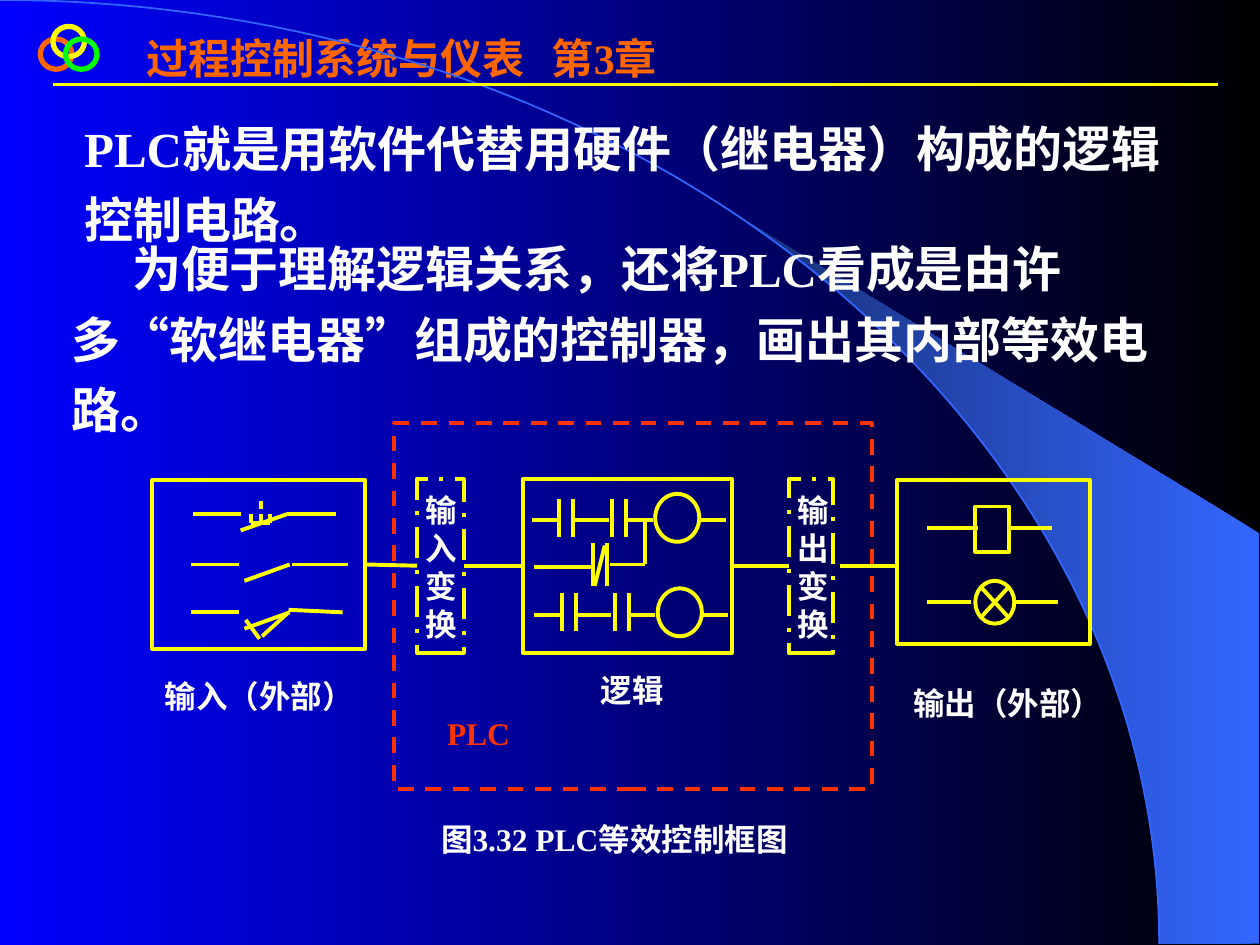
from dataclasses import dataclass
from math import asin, cos, pi, sin
from typing import Optional

from lxml.etree import SubElement
from pptx import Presentation
from pptx.dml.color import RGBColor
from pptx.enum.dml import MSO_LINE
from pptx.enum.shapes import MSO_CONNECTOR, MSO_SHAPE
from pptx.enum.text import MSO_ANCHOR, MSO_AUTO_SIZE, PP_ALIGN
from pptx.oxml.ns import qn
from pptx.util import Inches, Pt


@dataclass(frozen=True)
class Theme:
    """Colours, type sizes and line widths of the slide."""
    font: str = "Times New Roman"
    white: str = "FFFFFF"
    black: str = "000000"
    blue: str = "0000FF"
    sky: str = "3366FF"
    navy: str = "172F75"
    yellow: str = "FFFF00"
    green: str = "00FF00"
    orange: str = "FF6600"
    red: str = "FF3300"
    head: int = 24
    body: int = 28
    label: int = 18
    thin: float = 1
    rule: float = 1.5
    wire: float = 2.25
    ring: float = 3


THEME = Theme()


@dataclass(frozen=True)
class Frame:
    """An unfilled shape with its place and outline."""
    left: float
    top: float
    width: float
    height: float
    kind: MSO_SHAPE = MSO_SHAPE.RECTANGLE
    color: str = THEME.yellow
    weight: float = THEME.wire
    dash: Optional[MSO_LINE] = None


@dataclass(frozen=True)
class Wire:
    """A straight line between two points."""
    x1: float
    y1: float
    x2: float
    y2: float
    color: str = THEME.yellow
    weight: float = THEME.wire


@dataclass(frozen=True)
class Note:
    """A text box with its place and type."""
    text: str
    left: float
    top: float
    width: float
    height: float
    size: int = THEME.label
    color: str = THEME.white
    align: PP_ALIGN = PP_ALIGN.LEFT
    anchor: MSO_ANCHOR = MSO_ANCHOR.TOP
    lead: float = 1.0
    indent: float = 0


RINGS = [
    Frame(x, y, 0.25, 0.24, MSO_SHAPE.OVAL, color, THEME.ring)
    for x, y, color in [(0.32, 0.31, THEME.orange), (0.42, 0.21, THEME.yellow),
                        (0.52, 0.31, THEME.green)]
]
BLOCKS = [
    Frame(1.21, 3.81, 1.69, 1.34),
    Frame(3.31, 3.8, 0.37, 1.38, dash=MSO_LINE.LONG_DASH_DOT),
    Frame(4.15, 3.8, 1.66, 1.38),
    Frame(6.26, 3.8, 0.35, 1.38, dash=MSO_LINE.LONG_DASH_DOT),
    Frame(7.12, 3.81, 1.53, 1.3),
]
PARTS = [
    Frame(7.74, 4.02, 0.27, 0.36),
    Frame(7.74, 4.61, 0.31, 0.34, MSO_SHAPE.FLOWCHART_SUMMING_JUNCTION),
    Frame(3.13, 3.36, 3.79, 2.9, color=THEME.red, dash=MSO_LINE.DASH),
]
BUTTON = [
    Wire(1.53, 4.08, 1.91, 4.08), Wire(2.28, 4.08, 2.67, 4.08),
    Wire(2.28, 4.08, 1.91, 4.21), Wire(2.07, 3.98, 2.07, 4.04),
    Wire(1.99, 4.15, 2.14, 4.15),
    *[Wire(x, 4.08, x, 4.15) for x in (1.99, 2.07, 2.14)],
]
SWITCH = [
    Wire(1.52, 4.48, 1.9, 4.48), Wire(2.32, 4.48, 2.76, 4.48),
    Wire(2.3, 4.48, 1.94, 4.61),
]
LIMIT = [
    Wire(1.52, 4.86, 1.9, 4.86), Wire(2.29, 4.84, 2.72, 4.86),
    Wire(2.3, 4.86, 1.94, 4.99), Wire(2.29, 4.86, 2.08, 5.05),
    Wire(1.95, 4.92, 2.06, 5.07),
]
BRANCH = [
    Wire(4.24, 4.5, 4.72, 4.5), Wire(4.71, 4.31, 4.71, 4.65),
    Wire(4.72, 4.65, 4.8, 4.33), Wire(4.82, 4.31, 4.82, 4.65),
    Wire(4.84, 4.48, 5.12, 4.48), Wire(5.12, 4.12, 5.12, 4.48),
]
LOADS = [
    Wire(7.36, 4.19, 7.76, 4.19), Wire(8, 4.19, 8.35, 4.19),
    Wire(7.36, 4.78, 7.71, 4.78), Wire(8.05, 4.78, 8.4, 4.78),
    Wire(6.67, 4.49, 7.12, 4.49),
]
NOTES = [
    Note("PLC就是用软件代替用硬件（继电器）构成的逻辑控制电路。",
         0.57, 0.8, 9.01, 1.22, THEME.body, lead=1.2),
    Note("为便于理解逻辑关系，还将PLC看成是由许多“软继电器”组成的控制器，画出其内部等效电路。",
         0.47, 1.75, 9.01, 1.78, THEME.body, anchor=MSO_ANCHOR.MIDDLE,
         lead=1.2, indent=0.48),
    Note("图3.32 PLC等效控制框图", 3.13, 6.46, 3.49, 0.42, align=PP_ALIGN.CENTER),
    Note("输入（外部）", 1.21, 5.32, 1.82, 0.49),
    Note("输入变换", 3.28, 3.85, 0.39, 1.3),
    Note("输出变换", 6.23, 3.85, 0.39, 1.3),
    Note("逻辑", 4.67, 5.28, 0.92, 0.49),
    Note("输出（外部）", 7.15, 5.38, 1.89, 0.49),
    Note("PLC", 3.45, 5.62, 0.96, 0.49, color=THEME.red),
]


def shade(fill, first: str, last: str) -> None:
    """Fill with a gradient that runs from right to left."""
    fill.gradient()
    fill.gradient_angle = 180
    for stop, color in zip(fill.gradient_stops, (first, last)):
        stop.color.rgb = RGBColor.from_string(color)


def style(line, item) -> None:
    """Set the colour and width of a line."""
    line.color.rgb = RGBColor.from_string(item.color)
    line.width = Pt(item.weight)


def draw_frame(slide, item: Frame):
    """Draw an outlined shape."""
    box = map(Inches, (item.left, item.top, item.width, item.height))
    shape = slide.shapes.add_shape(item.kind, *box)
    shape.shadow.inherit = False
    shape.fill.background()
    style(shape.line, item)
    if item.dash:
        shape.line.dash_style = item.dash
    return shape


def draw_wire(slide, item: Wire):
    """Draw a straight line without a shadow."""
    ends = map(Inches, (item.x1, item.y1, item.x2, item.y2))
    link = slide.shapes.add_connector(MSO_CONNECTOR.STRAIGHT, *ends)
    style(link.line, item)
    SubElement(link._element.spPr, qn("a:effectLst"))
    return link


def draw_rung(slide, x: float, y: float) -> None:
    """Draw two open contacts in series with a coil."""
    for start, end in [(0, 0.21), (0.34, 0.61), (0.75, 0.96), (1.33, 1.54)]:
        draw_wire(slide, Wire(x + start, y, x + end, y))
    for bar in (0.22, 0.33, 0.64, 0.75):
        draw_wire(slide, Wire(x + bar, y - 0.17, x + bar, y + 0.13))
    draw_frame(slide, Frame(x + 0.98, y - 0.21, 0.35, 0.38,
                            MSO_SHAPE.FLOWCHART_CONNECTOR))


def draw_note(slide, item: Note, shape=None) -> None:
    """Write text into the given shape or a new text box."""
    shape = shape or slide.shapes.add_textbox(0, 0, 0, 0)
    shape.left, shape.top = Inches(item.left), Inches(item.top)
    shape.width, shape.height = Inches(item.width), Inches(item.height)
    frame = shape.text_frame
    frame.text = item.text
    frame.word_wrap = True
    frame.auto_size = MSO_AUTO_SIZE.NONE
    frame.vertical_anchor = item.anchor
    para = frame.paragraphs[0]
    para.alignment = item.align
    para.line_spacing = item.lead
    if item.indent:
        para._p.get_or_add_pPr().set("indent", str(Inches(item.indent)))
    if "\t" in item.text:
        tabs = SubElement(para._p.get_or_add_pPr(), qn("a:tabLst"))
        SubElement(tabs, qn("a:tab"), pos=str(Inches(3.22)), algn="l")
    font = para.runs[0].font
    font.name, font.size, font.bold = THEME.font, Pt(item.size), True
    font.color.rgb = RGBColor.from_string(item.color)


def draw_sweep(slide) -> None:
    """Draw the lit wedge and the arc along its edge."""
    wide, high, steps = 9.2, 7.49, 24
    first = asin(0.64)
    turns = [first + (pi / 2 - first) * i / steps for i in range(steps + 1)]
    curve = [(Inches(wide * sin(t)), Inches(high * (1 - cos(t)))) for t in turns]
    corner = [(Inches(9.99), Inches(y)) for y in (high, 4.23)]
    path = slide.shapes.build_freeform(*curve[0])
    path.add_line_segments(curve[1:] + corner, close=True)
    wedge = path.convert_to_shape()
    wedge.shadow.inherit = False
    wedge.line.fill.background()
    shade(wedge.fill, THEME.sky, THEME.navy)
    draw_frame(slide, Frame(-wide, 0, 2 * wide, 2 * high, MSO_SHAPE.ARC,
                            THEME.sky, THEME.thin))


def main() -> None:
    """Build and save the slide."""
    deck = Presentation()
    deck.slide_width, deck.slide_height = Inches(10), Inches(7.5)
    slide = deck.slides.add_slide(deck.slide_layouts[5])
    shade(slide.background.fill, THEME.black, THEME.blue)
    draw_sweep(slide)
    draw_wire(slide, Wire(0.42, 0.67, 9.67, 0.67, weight=THEME.rule))
    draw_note(slide, Note("过程控制系统与仪表\t第3章", 1.06, 0.21, 4.49, 0.9,
                          THEME.head, THEME.orange), slide.shapes.title)
    for ring in RINGS:
        draw_frame(slide, ring)
    blocks = [draw_frame(slide, block) for block in BLOCKS]
    for part in PARTS:
        draw_frame(slide, part)
    for wire in BUTTON + SWITCH + LIMIT + BRANCH + LOADS:
        draw_wire(slide, wire)
    for x, y in [(4.22, 4.13), (4.24, 4.88)]:
        draw_rung(slide, x, y)
    for left, right in zip(blocks[:3], blocks[1:4]):
        link = draw_wire(slide, Wire(0, 0, 0, 0))
        link.begin_connect(left, 3)
        link.end_connect(right, 1)
    for note in NOTES:
        draw_note(slide, note)
    deck.save("out.pptx")


if __name__ == "__main__":
    main()
